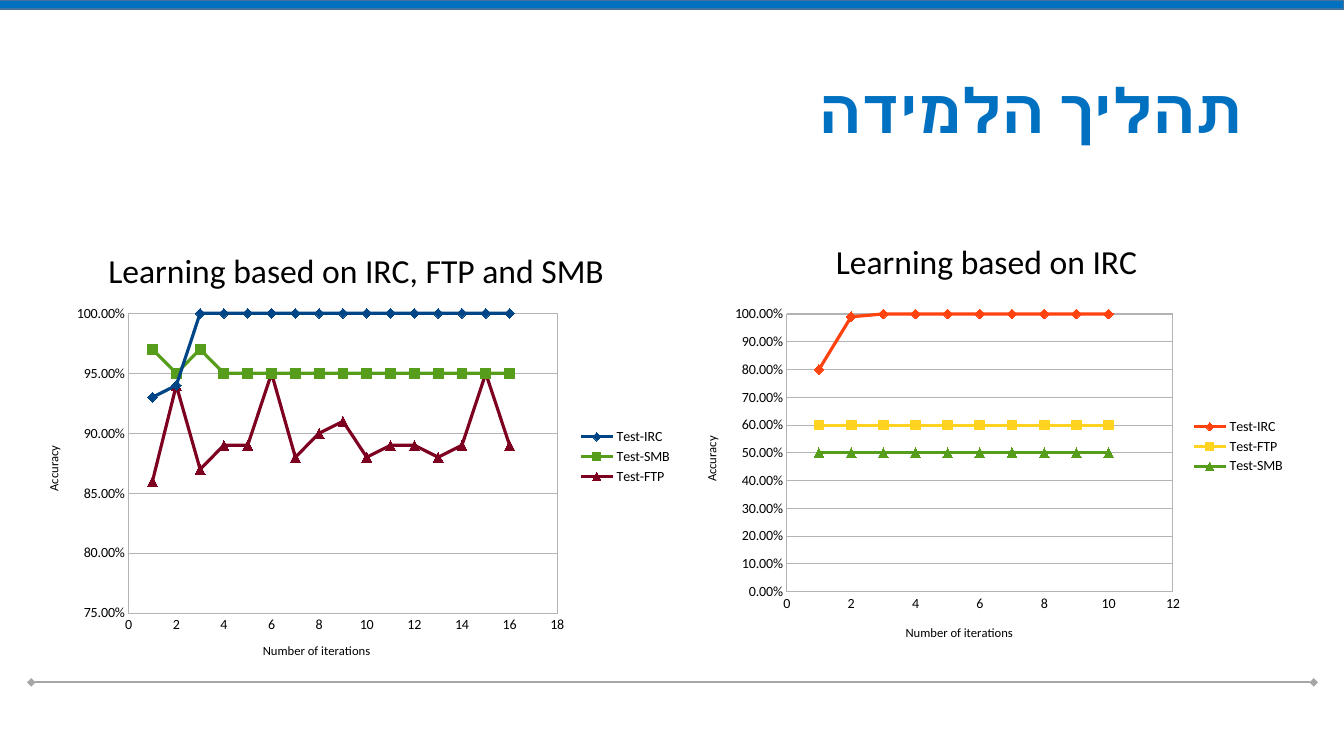
from lxml import etree
from pptx import Presentation
from pptx.chart.data import XyChartData
from pptx.dml.color import RGBColor
from pptx.enum.chart import XL_CHART_TYPE as CT, XL_LEGEND_POSITION as LP
from pptx.enum.chart import XL_MARKER_STYLE as MS, XL_TICK_MARK as TM
from pptx.enum.shapes import MSO_CONNECTOR, MSO_SHAPE
from pptx.enum.text import MSO_ANCHOR, PP_ALIGN
from pptx.oxml import parse_xml
from pptx.oxml.ns import nsdecls, qn
from pptx.util import Inches, Pt

COLORS = {
    "blue": "0070C0", "edge": "43739E", "rule": "A6A6A6", "grid": "B3B3B3",
    "black": "000000", "navy": "004586", "green": "579D1C", "wine": "7E0021",
    "orange": "FF420E", "yellow": "FFD320",
}
FONT = "Calibri"


def rgb(name):
    return RGBColor.from_string(COLORS[name])


def place(parent, index, **box):
    old = parent.find(qn("c:layout"))
    if old is not None:
        parent.remove(old)
    layout = parse_xml(f"<c:layout {nsdecls('c')}><c:manualLayout/></c:layout>")
    if "w" in box:
        etree.SubElement(layout[0], qn("c:layoutTarget")).set("val", "inner")
    for key in ("xMode", "yMode"):
        etree.SubElement(layout[0], qn(f"c:{key}")).set("val", "edge")
    for key, value in box.items():
        etree.SubElement(layout[0], qn(f"c:{key}")).set("val", str(value))
    parent.insert(index, layout)


prs = Presentation()
prs.slide_width, prs.slide_height = Inches(13.33), Inches(7.5)
s = prs.slides.add_slide(prs.slide_layouts[6])

bar = s.shapes.add_shape(MSO_SHAPE.RECTANGLE, Inches(-0.01), Inches(0), Inches(13.34), Inches(0.09))
bar.rotation = 180
bar.shadow.inherit = False
bar.fill.solid()
bar.fill.fore_color.rgb = rgb("blue")
bar.line.color.rgb = rgb("edge")
bar.line.width = Pt(1)

rule = s.shapes.add_connector(MSO_CONNECTOR.STRAIGHT, Inches(13.03), Inches(6.77), Inches(0.31), Inches(6.77))
rule.line.color.rgb = rgb("rule")
rule.line.width = Pt(1.5)
ln = rule.line._get_or_add_ln()
for end in ("a:headEnd", "a:tailEnd"):
    etree.SubElement(ln, qn(end)).set("type", "diamond")
etree.SubElement(ln.getparent(), qn("a:effectLst"))

title = s.shapes.add_textbox(Inches(0.92), Inches(0.4), Inches(11.5), Inches(1.45))
tf = title.text_frame
tf.word_wrap = True
tf.vertical_anchor = MSO_ANCHOR.MIDDLE
p = tf.paragraphs[0]
p.text = "תהליך הלמידה"
p.alignment = PP_ALIGN.RIGHT
p.line_spacing = 0.9
p._p.get_or_add_pPr().set("rtl", "1")
r = p.runs[0]
r.font.size, r.font.bold, r.font.name = Pt(44), True, FONT
r.font.color.rgb = rgb("blue")
etree.SubElement(r._r.get_or_add_rPr(), qn("a:cs")).set("typeface", FONT)

charts = [
    dict(
        title="Learning based on IRC, FTP and SMB",
        at=(0.23, 2.31, 6.54, 4.44), x_max=18, y_min=0.75, y_step=0.05,
        plot=dict(x=0.16, y=0.18, w=0.65, h=0.67),
        title_at=dict(x=0.12, y=0.02),
        series=[
            ("Test-IRC", "navy", [0.93, 0.94] + [1] * 14),
            ("Test-SMB", "green", [0.97, 0.95, 0.97] + [0.95] * 13),
            ("Test-FTP", "wine", [0.86, 0.94, 0.87, 0.89, 0.89, 0.95, 0.88, 0.9,
                                  0.91, 0.88, 0.89, 0.89, 0.88, 0.89, 0.95, 0.89]),
        ],
    ),
    dict(
        title="Learning based on IRC",
        at=(6.77, 2.31, 6.08, 4.24), x_max=12, y_min=0, y_step=0.1,
        plot=dict(x=0.17, y=0.19, w=0.63, h=0.65),
        title_at=dict(x=0.24, y=0),
        series=[
            ("Test-IRC", "orange", [0.8, 0.99] + [1] * 8),
            ("Test-FTP", "yellow", [0.6] * 10),
            ("Test-SMB", "green", [0.5] * 10),
        ],
    ),
]
markers = [MS.DIAMOND, MS.SQUARE, MS.TRIANGLE]

for c in charts:
    data = XyChartData()
    for name, _, values in c["series"]:
        series = data.add_series(name)
        for x, y in enumerate(values, 1):
            series.add_data_point(x, y)
    frame = s.shapes.add_chart(CT.XY_SCATTER_LINES, *map(Inches, c["at"]), data)
    chart = frame.chart
    chart.font.size, chart.font.name = Pt(10), FONT
    chart.font.color.rgb = rgb("black")
    chart.has_legend = True
    chart.legend.position = LP.RIGHT
    chart.legend.include_in_layout = False
    chart.legend.font.size = Pt(10)

    x_axis, y_axis = chart.category_axis, chart.value_axis
    x_axis.minimum_scale, x_axis.maximum_scale, x_axis.major_unit = 0, c["x_max"], 2
    y_axis.minimum_scale, y_axis.maximum_scale, y_axis.major_unit = c["y_min"], 1, c["y_step"]
    x_axis.has_major_gridlines = False
    y_axis.has_major_gridlines = True
    lines = [x_axis.format.line, y_axis.format.line, y_axis.major_gridlines.format.line]
    for line in lines:
        line.color.rgb = rgb("grid")
        line.width = Pt(0.75)
    for axis, fmt in ((x_axis, "General"), (y_axis, "0.00%")):
        axis.major_tick_mark = axis.minor_tick_mark = TM.NONE
        axis.tick_labels.number_format = fmt
        axis.tick_labels.number_format_is_linked = False
        axis.tick_labels.font.size = Pt(10)

    chart.has_title = True
    for holder, text, size, spot in (
        (chart.chart_title, c["title"], 24, c["title_at"]),
        (x_axis.axis_title, "Number of iterations", 9, dict(x=0.36, y=0.91)),
        (y_axis.axis_title, "Accuracy", 9, dict(x=0.03, y=0.47)),
    ):
        p = holder.text_frame.paragraphs[0]
        p.text = text
        p.font.size, p.font.bold, p.font.name = Pt(size), False, FONT
        p.font.color.rgb = rgb("black")
        place(holder._element, 1, **spot)
    y_axis.axis_title.text_frame._txBody.find(qn("a:bodyPr")).set("rot", "-5400000")

    plot = chart.plots[0]
    plot.vary_by_categories = False
    area = plot._element.getparent()
    place(area, 0, **c["plot"])
    area.append(parse_xml(
        f"<c:spPr {nsdecls('c', 'a')}><a:noFill/><a:ln w='9525'><a:solidFill>"
        f"<a:srgbClr val='{COLORS['grid']}'/></a:solidFill></a:ln></c:spPr>"))
    for series, (_, color, _), style in zip(plot.series, c["series"], markers):
        series.smooth = False
        series.format.line.color.rgb = rgb(color)
        series.format.line.width = Pt(2.27)
        series.marker.style, series.marker.size = style, 7
        series.marker.format.fill.solid()
        series.marker.format.fill.fore_color.rgb = rgb(color)
        series.marker.format.line.fill.background()

prs.save("out.pptx")
